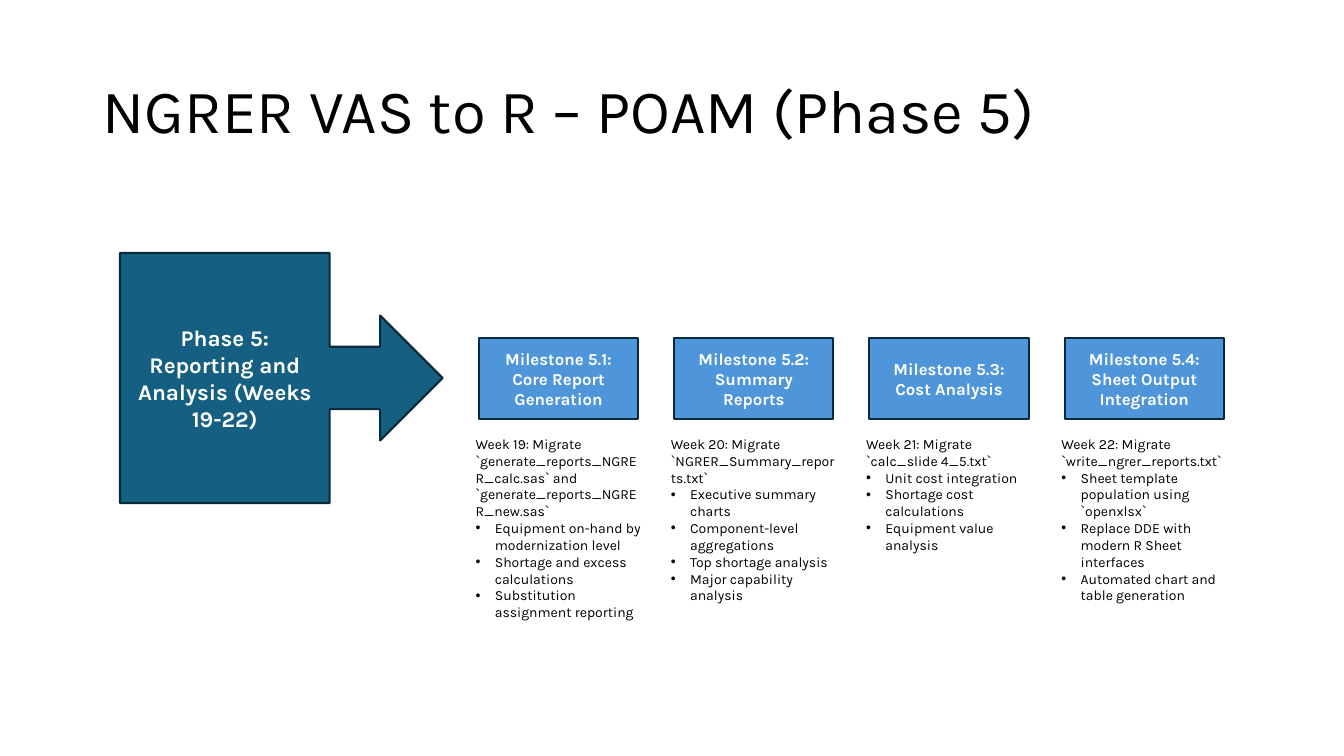
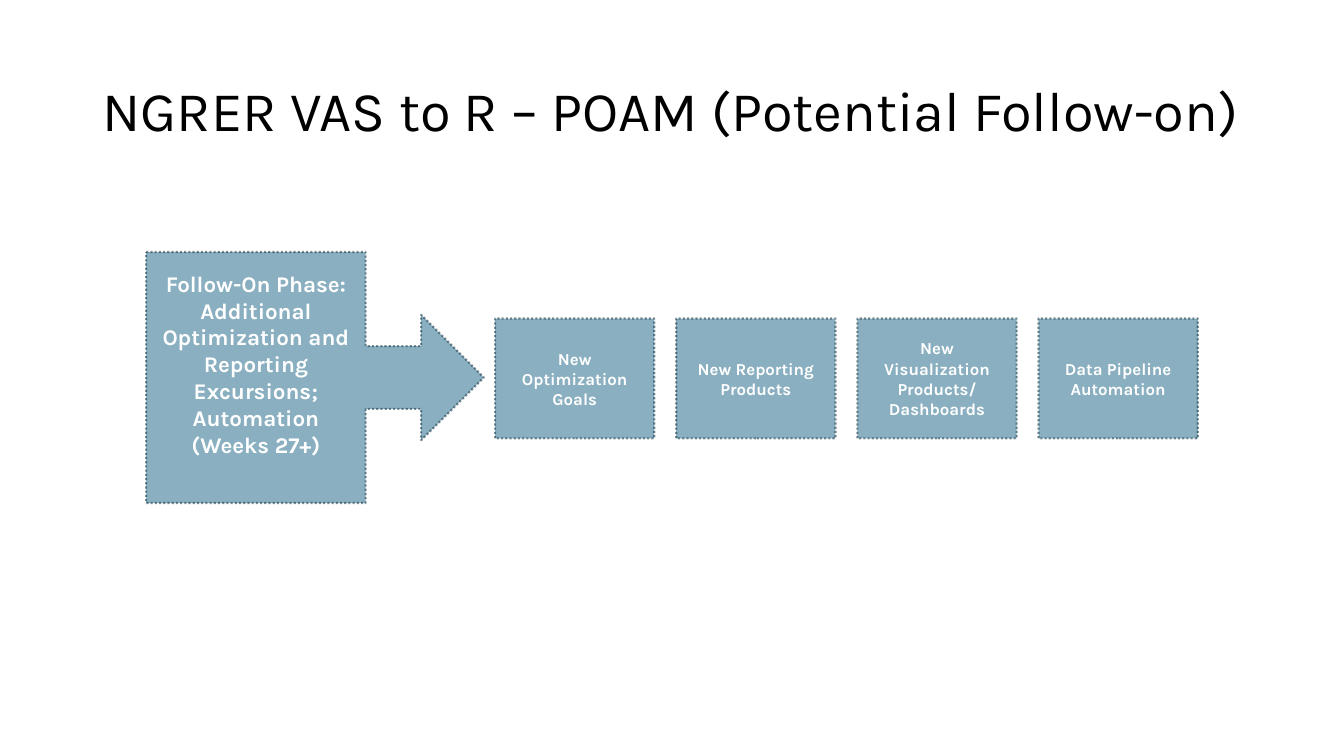
"""Build two plan-of-action slides: a phase callout followed by its milestones."""
import pptx
import pptx.util
import pptx.dml.color
import pptx.enum.dml
import pptx.enum.shapes
import pptx.enum.text
import pptx.oxml
import pptx.oxml.ns

Inches, Pt = pptx.util.Inches, pptx.util.Pt
RGBColor = pptx.dml.color.RGBColor
Shape = pptx.enum.shapes.MSO_SHAPE
Align, Anchor = pptx.enum.text.PP_ALIGN, pptx.enum.text.MSO_ANCHOR
qn, NS = pptx.oxml.ns.qn, pptx.oxml.ns.nsdecls("a")

FONT = "Karla"
BLACK, WHITE = RGBColor(0, 0, 0), RGBColor(255, 255, 255)
TEAL, BLUE = RGBColor(0x15, 0x60, 0x82), RGBColor(0x4E, 0x95, 0xD9)
NAVY, DARK = RGBColor(0x09, 0x2A, 0x39), RGBColor(0x04, 0x24, 0x33)

PLANS = [
    {
        "title": "NGRER VAS to R – POAM (Phase 5)", "size": 44,
        "phase": ["Phase 5: Reporting and Analysis (Weeks 19-22)"],
        "callout": (1.19, 2.51, 3.2, 2.48), "foot": 0.05,
        "first": 4.75, "last": 10.56, "top": 3.35, "height": 0.81,
        "fill": BLUE, "line": NAVY, "faded": False,
        "steps": [
            ("Milestone 5.1: Core Report Generation", 1.95,
             "Week 19: Migrate `generate_reports_NGRER_calc.sas` and `generate_reports_NGRER_new.sas`",
             ["Equipment on-hand by modernization level",
              "Shortage and excess calculations",
              "Substitution assignment reporting"]),
            ("Milestone 5.2: Summary Reports", 1.78,
             "Week 20: Migrate `NGRER_Summary_reports.txt`",
             ["Executive summary charts", "Component-level aggregations",
              "Top shortage analysis", "Major capability analysis"]),
            ("Milestone 5.3: Cost Analysis", 1.28,
             "Week 21: Migrate `calc_slide 4_5.txt`",
             ["Unit cost integration", "Shortage cost calculations",
              "Equipment value analysis"]),
            ("Milestone 5.4: Sheet Output Integration", 1.78,
             "Week 22: Migrate `write_ngrer_reports.txt`",
             ["Sheet template population using `openxlsx`",
              "Replace DDE with modern R Sheet interfaces",
              "Automated chart and table generation"]),
        ],
    },
    {
        "title": "NGRER VAS to R – POAM (Potential Follow-on)", "size": 40,
        "phase": ["Follow-On Phase:",
                  "Additional Optimization and Reporting Excursions; Automation (Weeks 27+)"],
        "callout": (1.45, 2.5, 3.35, 2.49), "foot": 0.32,
        "first": 4.91, "last": 10.3, "top": 3.16, "height": 1.19,
        "fill": TEAL, "line": DARK, "faded": True,
        "steps": [
            ("New Optimization Goals", 0, "", []),
            ("New Reporting Products", 0, "", []),
            ("New Visualization Products/ Dashboards", 0, "", []),
            ("Data Pipeline Automation", 0, "", []),
        ],
    },
]
WIDTH, SIDE, DROP = 1.58, 0.13, 0.11


def write(shape, lines, size, color=BLACK, bold=False, align=Align.LEFT,
          anchor=Anchor.TOP, spacing=None, bullets=()):
    frame = shape.text_frame
    frame.word_wrap = True
    frame.vertical_anchor = anchor
    for i, text in enumerate([*lines, *bullets]):
        para = frame.add_paragraph() if i else frame.paragraphs[0]
        para.alignment = align
        if spacing:
            para.line_spacing = spacing
        run = para.add_run()
        run.text = text
        font = run.font
        font.name, font.size, font.bold = FONT, Pt(size), bold
        font.color.rgb = color
        if i >= len(lines):
            props = para._p.get_or_add_pPr()
            props.set("marL", str(Inches(0.19)))
            props.set("indent", str(-Inches(0.19)))
            for tag in ('buFont typeface="Arial"', 'buChar char="•"'):
                props.append(pptx.oxml.parse_xml(f"<a:{tag} {NS}/>"))
    return frame


def add_text(slide, place, lines, size, **style):
    box = slide.shapes.add_textbox(*map(Inches, place))
    return write(box, lines, size, **style)


def add_block(slide, kind, place, lines, size, fill, line, faded):
    block = slide.shapes.add_shape(kind, *map(Inches, place))
    block.shadow.inherit = False
    block.fill.solid()
    block.fill.fore_color.rgb = fill
    block.line.color.rgb = line
    block.line.width = Pt(1.5)
    if faded:
        block.line.dash_style = pptx.enum.dml.MSO_LINE.ROUND_DOT
        for color in block.element.spPr.iter(qn("a:srgbClr")):
            color.append(pptx.oxml.parse_xml(f'<a:alpha {NS} val="50000"/>'))
    return write(block, lines, size, color=WHITE, bold=True,
                 align=Align.CENTER, anchor=Anchor.MIDDLE)


def add_plan(deck, plan):
    slide = deck.slides.add_slide(deck.slide_layouts[6])
    add_text(slide, (0.92, 0.4, 11.5, 1.45), [plan["title"]], plan["size"],
             anchor=Anchor.MIDDLE, spacing=0.9)
    look = plan["line"], plan["faded"]
    frame = add_block(slide, Shape.RIGHT_ARROW_CALLOUT, plan["callout"],
                      plan["phase"], 16, TEAL, *look)
    frame.margin_bottom = Inches(plan["foot"])
    top, height = plan["top"], plan["height"]
    pitch = (plan["last"] - plan["first"]) / (len(plan["steps"]) - 1)
    for i, (name, depth, intro, tasks) in enumerate(plan["steps"]):
        left = plan["first"] + i * pitch
        add_block(slide, Shape.RECTANGLE, (left, top, WIDTH, height),
                  [name], 12, plan["fill"], *look)
        if intro:
            place = (left - SIDE, top + height + DROP, WIDTH + 2 * SIDE, depth)
            note = add_text(slide, place, [intro], 10, bullets=tasks)
            note.auto_size = pptx.enum.text.MSO_AUTO_SIZE.SHAPE_TO_FIT_TEXT


def main():
    deck = pptx.Presentation()
    deck.slide_width, deck.slide_height = Inches(13.33), Inches(7.5)
    for plan in PLANS:
        add_plan(deck, plan)
    deck.save("out.pptx")


if __name__ == "__main__":
    main()
